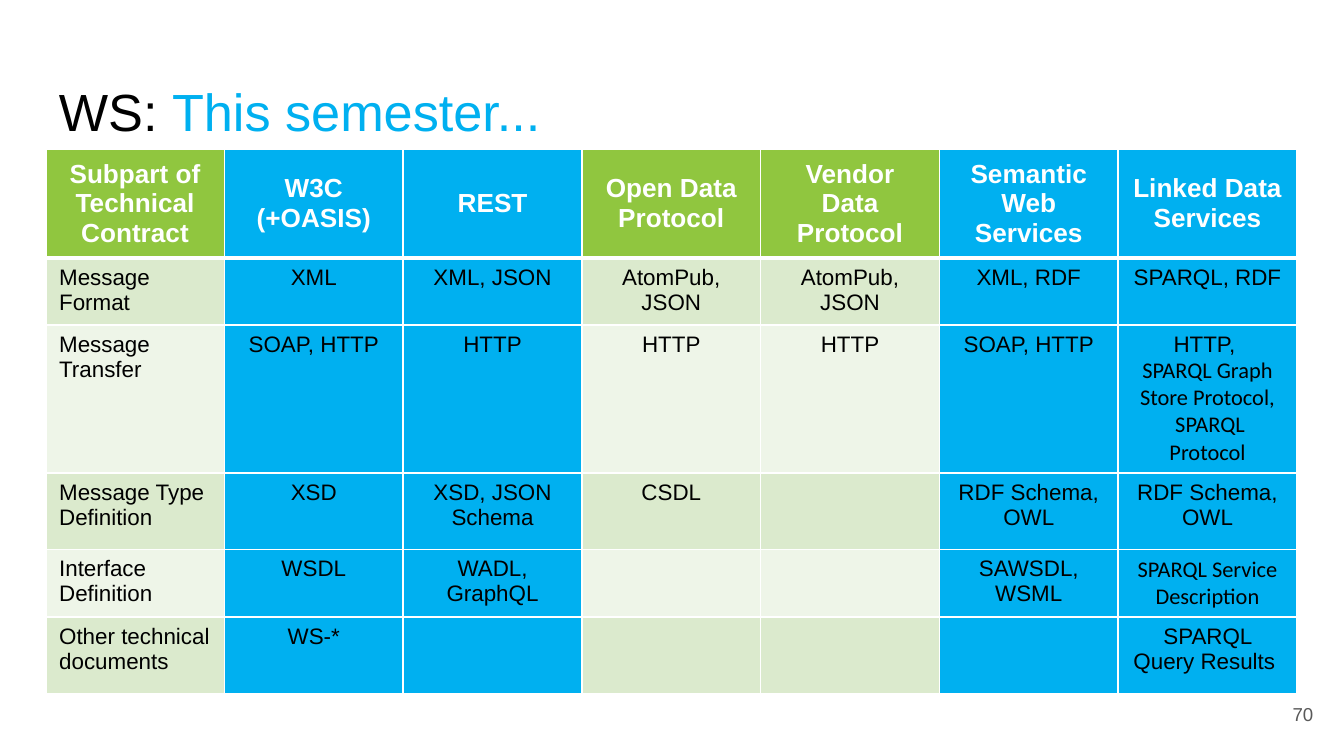
import pptx
import pptx.util
import pptx.dml.color
import pptx.enum.text
import lxml.etree
import pptx.oxml.ns

SLIDE_W = 10
SLIDE_H = SLIDE_W * 9 / 16
MARGIN = 0.34
COLUMN_W = 1.33
ROW_HEIGHTS = [0.81, 0.4, 0.83, 0.57, 0.4, 0.57]
COLORS = {
    "black": "000000",
    "white": "FFFFFF",
    "gray": "595959",
    "blue": "00B0F0",
    "green": "90C63F",
    "band_dark": "DBEACD",
    "band_light": "EEF5E8",
}
SEMESTER_COLUMNS = {1, 2, 5, 6}
CONTRACT_ROWS = [
    ["Subpart of Technical Contract", "W3C (+OASIS)", "REST", "Open Data Protocol",
     "Vendor Data Protocol", "Semantic Web Services", "Linked Data Services"],
    ["Message Format", "XML", "XML, JSON", "AtomPub,\nJSON", "AtomPub, JSON",
     "XML, RDF", "SPARQL, RDF"],
    ["Message Transfer", "SOAP, HTTP", "HTTP", "HTTP", "HTTP", "SOAP, HTTP",
     "HTTP, \nSPARQL Graph Store Protocol,\n SPARQL Protocol"],
    ["Message Type Definition", "XSD", "XSD, JSON Schema", "CSDL", "",
     "RDF Schema, OWL", "RDF Schema, OWL"],
    ["Interface Definition", "WSDL", "WADL, GraphQL", "", "",
     "SAWSDL, WSML", "SPARQL Service Description"],
    ["Other technical documents", "WS-*", "", "", "", "", "SPARQL Query Results "],
]
CALIBRI_LINES = {"SPARQL Graph Store Protocol,", " SPARQL Protocol",
                 "SPARQL Service Description"}
ALIGN = pptx.enum.text.PP_ALIGN
ANCHOR = pptx.enum.text.MSO_ANCHOR


def rgb(name):
    return pptx.dml.color.RGBColor.from_string(COLORS[name])


def style_run(run, size, color, font="Arial", bold=False):
    run.font.name = font
    run.font.size = pptx.util.Pt(size)
    run.font.bold = bold
    run.font.color.rgb = rgb(color)


def add_text(slide, left, top, width, height, parts, size, align, anchor):
    """Add one line of text made of (text, color) parts."""
    box = slide.shapes.add_textbox(*map(pptx.util.Inches, (left, top, width, height)))
    frame = box.text_frame
    frame.word_wrap = True
    frame.vertical_anchor = anchor
    frame.margin_left = frame.margin_right = pptx.util.Inches(0.1)
    frame.margin_top = frame.margin_bottom = pptx.util.Inches(0.1)
    line = frame.paragraphs[0]
    line.alignment = align
    for text, color in parts:
        run = line.add_run()
        run.text = text
        style_run(run, size, color)


def set_borders(cell, bottom):
    """Draw white borders; bottom is the lower one's width in points."""
    properties = cell._tc.get_or_add_tcPr()
    for side, width in (("L", 1), ("R", 1), ("T", 1), ("B", bottom)):
        border = lxml.etree.SubElement(properties, pptx.oxml.ns.qn(f"a:ln{side}"),
                                       w=str(pptx.util.Pt(width)))
        fill = lxml.etree.SubElement(border, pptx.oxml.ns.qn("a:solidFill"))
        lxml.etree.SubElement(fill, pptx.oxml.ns.qn("a:srgbClr"), val=COLORS["white"])


def cell_color(row, column):
    if column in SEMESTER_COLUMNS:
        return "blue"
    if row == 0:
        return "green"
    return "band_dark" if row % 2 else "band_light"


def fill_cell(cell, row, column, text):
    header = row == 0
    if header:
        set_borders(cell, 3)
    cell.fill.solid()
    cell.fill.fore_color.rgb = rgb(cell_color(row, column))
    cell.vertical_anchor = ANCHOR.MIDDLE if header else ANCHOR.TOP
    cell.text_frame.text = text
    for line in cell.text_frame.paragraphs:
        line.alignment = ALIGN.CENTER if header or column else ALIGN.LEFT
        for run in line.runs:
            font = "Calibri" if run.text in CALIBRI_LINES else "Arial"
            style_run(run, 14 if header else 12, "white" if header else "black",
                      font, header)


def add_contract_table(slide):
    """Add the table; its style draws the white lines below the header."""
    columns = len(CONTRACT_ROWS[0])
    table = slide.shapes.add_table(
        len(CONTRACT_ROWS), columns,
        pptx.util.Inches(MARGIN), pptx.util.Inches(1.11),
        pptx.util.Inches(columns * COLUMN_W), pptx.util.Inches(sum(ROW_HEIGHTS))).table
    for column in table.columns:
        column.width = pptx.util.Inches(COLUMN_W)
    for row, (height, texts) in enumerate(zip(ROW_HEIGHTS, CONTRACT_ROWS)):
        table.rows[row].height = pptx.util.Inches(height)
        for column, text in enumerate(texts):
            fill_cell(table.cell(row, column), row, column, text)


def main():
    deck = pptx.Presentation()
    deck.slide_width = pptx.util.Inches(SLIDE_W)
    deck.slide_height = pptx.util.Inches(SLIDE_H)
    slide = deck.slides.add_slide(deck.slide_layouts[6])
    add_text(slide, MARGIN, 0.49, SLIDE_W - 2 * MARGIN, 0.63,
             [("WS: ", "black"), ("This semester...", "blue")], 28,
             ALIGN.LEFT, ANCHOR.TOP)
    add_contract_table(slide)
    add_text(slide, 9.27, 5.1, 0.6, 0.43, [("70", "gray")], 10,
             ALIGN.RIGHT, ANCHOR.MIDDLE)
    deck.save("out.pptx")


if __name__ == "__main__":
    main()
